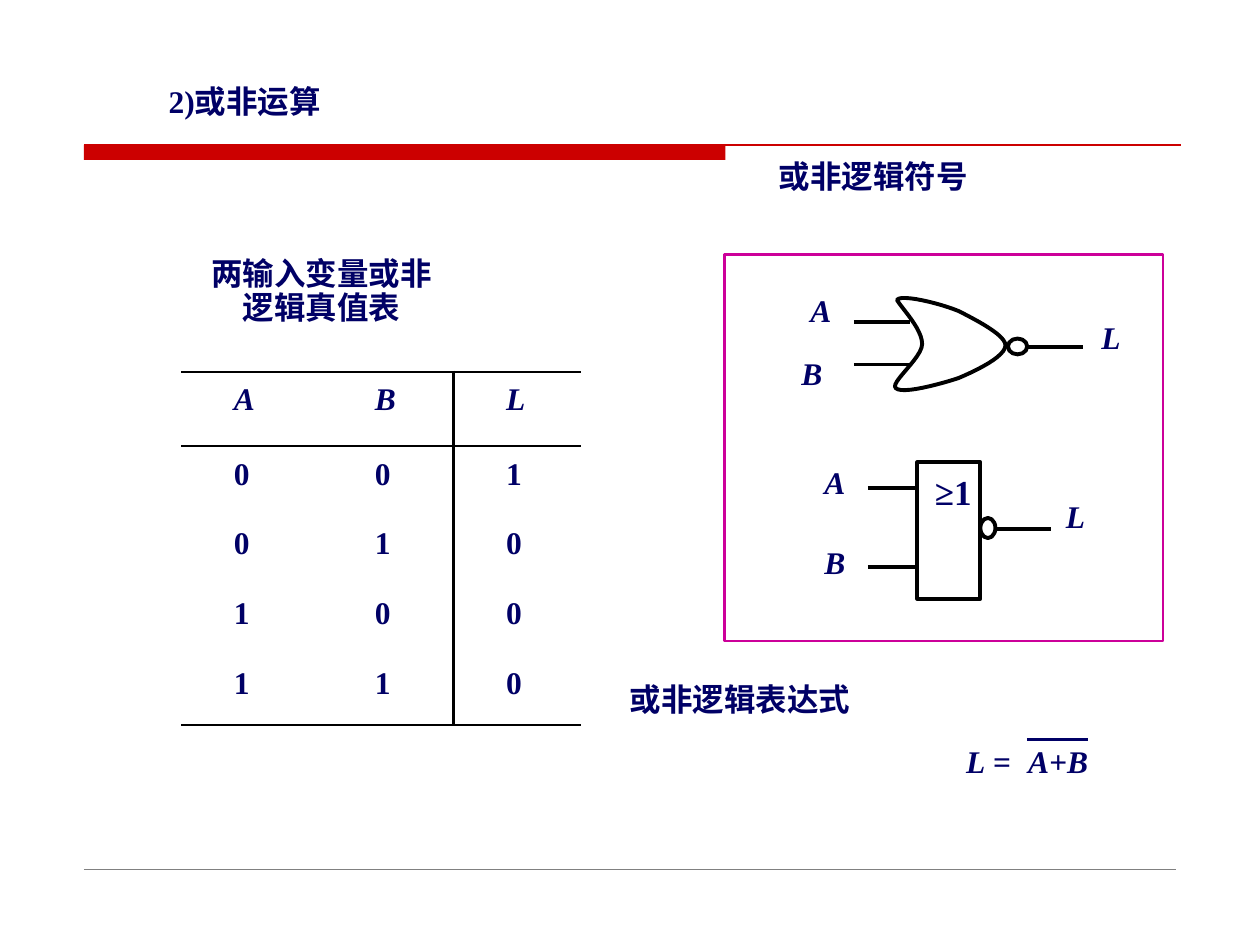
"""Build the slide on the NOR operation: truth table, gate symbols and expression."""
from dataclasses import dataclass

from lxml.etree import SubElement
from pptx import Presentation
from pptx.dml.color import RGBColor
from pptx.enum.shapes import MSO_CONNECTOR, MSO_SHAPE
from pptx.enum.text import MSO_ANCHOR, PP_ALIGN
from pptx.oxml import parse_xml
from pptx.oxml.ns import nsdecls, qn
from pptx.slide import Slide
from pptx.util import Pt

NAVY = RGBColor(0x00, 0x00, 0x66)
RED = RGBColor(0xCC, 0x00, 0x00)
MAGENTA = RGBColor(0xCC, 0x00, 0x99)
BLACK = RGBColor(0x00, 0x00, 0x00)
GRAY = RGBColor(0x80, 0x80, 0x80)

INSET = (7.2, 3.6)
TRUTH_TABLE = [("A", "B", "L"), *((a, b, int(not (a or b))) for a in (0, 1) for b in (0, 1))]
GATE_START = (512.6, 171.4)
GATE_CURVES = [
    ((514.8, 167.8), (537.8, 173.5), (547.9, 177.8)),
    ((558, 182.9), (574.6, 191.5), (574.6, 197.3)),
    ((574.6, 203.8), (558, 211.7), (547.9, 216)),
    ((537.1, 219.6), (515.5, 225.4), (511.9, 221.8)),
    ((508.3, 218.9), (527, 204.5), (527, 196.6)),
    ((527, 187.9), (515.5, 176.4), GATE_START),
]


def curve_points(start, curves, steps=12):
    for first, second, end in curves:
        for step in range(1, steps + 1):
            t = step / steps
            weights = ((1 - t) ** 3, 3 * t * (1 - t) ** 2, 3 * t * t * (1 - t), t ** 3)
            knots = (start, first, second, end)
            yield tuple(Pt(sum(w * k[axis] for w, k in zip(weights, knots))) for axis in (0, 1))
        start = end


@dataclass
class Painter:
    slide: Slide
    font: str = "Times New Roman"
    size: float = 18
    color: RGBColor = NAVY

    def style(self, paragraph, italic=None, size=None):
        font = paragraph.font
        font.name, font.size, font.bold = self.font, Pt(size or self.size), True
        font.italic = italic
        font.color.rgb = self.color

    def text(self, wording, x, y, width, height, italic=None, size=None,
             inset=(0, 0), spacing=0.9, wrap=True, align=PP_ALIGN.LEFT):
        frame = self.slide.shapes.add_textbox(Pt(x), Pt(y), Pt(width), Pt(height)).text_frame
        frame.margin_left = frame.margin_right = Pt(inset[0])
        frame.margin_top = frame.margin_bottom = Pt(inset[1])
        frame.word_wrap = wrap
        paragraph = frame.paragraphs[0]
        paragraph.text = wording
        paragraph.alignment, paragraph.line_spacing = align, spacing
        self.style(paragraph, italic, size)
        return paragraph

    def expression(self, parts, x, y, width, height, tab):
        paragraph = self.text("", x, y, width, height, inset=INSET, spacing=1.0)
        stops = parse_xml(f'<a:tabLst {nsdecls("a")}><a:tab pos="{Pt(tab)}" algn="l"/></a:tabLst>')
        paragraph._p.get_or_add_pPr().insert_element_before(stops, "a:defRPr", "a:extLst")
        for wording, italic in parts:
            run = paragraph.add_run()
            run.text, run.font.italic = wording, italic

    def line(self, x1, y1, x2, y2, color=BLACK, weight=2.25):
        wire = self.slide.shapes.add_connector(
            MSO_CONNECTOR.STRAIGHT, Pt(x1), Pt(y1), Pt(x2), Pt(y2))
        wire.line.color.rgb, wire.line.width = color, Pt(weight)
        SubElement(wire._element.spPr, qn("a:effectLst"))

    def outline(self, shape, color, weight):
        shape.shadow.inherit = False
        shape.fill.background()
        shape.line.color.rgb, shape.line.width = color, Pt(weight)

    def shape(self, preset, x, y, width, height, color=BLACK, weight=2.25):
        outlined = self.slide.shapes.add_shape(preset, Pt(x), Pt(y), Pt(width), Pt(height))
        self.outline(outlined, color, weight)

    def bar(self, x, y, width, height, color):
        block = self.slide.shapes.add_shape(
            MSO_SHAPE.RECTANGLE, Pt(x), Pt(y), Pt(width), Pt(height))
        block.shadow.inherit = False
        block.fill.solid()
        block.fill.fore_color.rgb = color
        block.line.fill.background()

    def curve(self, start, curves):
        builder = self.slide.shapes.build_freeform(Pt(start[0]), Pt(start[1]))
        builder.add_line_segments(list(curve_points(start, curves)), close=True)
        self.outline(builder.convert_to_shape(), BLACK, 2.25)

    def borders(self, cell, ruled):
        for position, side in enumerate("LRTB"):
            paint = (f'<a:solidFill><a:srgbClr val="{BLACK}"/></a:solidFill>'
                     if side in ruled else "<a:noFill/>")
            cell._tc.get_or_add_tcPr().insert(position, parse_xml(
                f'<a:ln{side} {nsdecls("a")} w="{Pt(1.5)}">{paint}</a:ln{side}>'))

    def table(self, rows, x, y, widths, heights):
        grid = self.slide.shapes.add_table(
            len(rows), len(widths), Pt(x), Pt(y), Pt(sum(widths)), Pt(sum(heights))).table
        grid.first_row = grid.horz_banding = False
        for column, width in zip(grid.columns, widths):
            column.width = Pt(width)
        for r, (values, height) in enumerate(zip(rows, heights)):
            grid.rows[r].height = Pt(height)
            for c, value in enumerate(values):
                cell = grid.cell(r, c)
                cell.fill.background()
                cell.margin_left, cell.margin_top = Pt(30), Pt(8)
                cell.margin_right = cell.margin_bottom = 0
                cell.vertical_anchor = MSO_ANCHOR.TOP
                paragraph = cell.text_frame.paragraphs[0]
                paragraph.text, paragraph.line_spacing = str(value), 0.9
                self.style(paragraph, italic=r == 0)
                horizontal = {0: "TB", 1: "T", len(rows) - 1: "B"}.get(r, "")
                vertical = {1: "R", 2: "L"}.get(c, "")
                self.borders(cell, horizontal + vertical)


def main():
    deck = Presentation()
    deck.slide_width, deck.slide_height = Pt(720), Pt(540)
    painter = Painter(deck.slides.add_slide(deck.slide_layouts[6]))

    painter.bar(48, 82.8, 366.5, 8.6, RED)
    painter.line(48, 82.8, 674.6, 82.8, RED, 0.75)
    painter.line(48, 496.8, 672, 496.8, GRAY, 0.25)
    painter.text("2)或非运算", 89.3, 43.2, 106, 28.8, inset=INSET, spacing=1.0, wrap=False)

    painter.text("两输入变量或非\v逻辑真值表", 103.7, 147.6, 160, 39, align=PP_ALIGN.CENTER)
    painter.table(TRUTH_TABLE, 103.7, 212.4, (80.6, 74.9, 72.7), (42.5, *[39.8] * 4))

    painter.text("或非逻辑符号", 445, 92.2, 183, 19.4)
    painter.shape(MSO_SHAPE.RECTANGLE, 414, 145.4, 250.6, 221, MAGENTA, 1.5)
    painter.curve(GATE_START, GATE_CURVES)
    painter.shape(MSO_SHAPE.OVAL, 576, 193.5, 11, 9)
    painter.shape(MSO_SHAPE.RECTANGLE, 524.2, 264.2, 36, 78)
    painter.shape(MSO_SHAPE.OVAL, 560.2, 296, 8.6, 11.5)
    for x1, x2, y in [(488, 520, 183.8), (488, 521, 208.3), (587, 619, 198.5),
                      (496, 525, 278.8), (496, 525, 323.8), (569, 600.5, 302.5)]:
        painter.line(x1, y, x2, y)
    for pin, x, y in [("A", 463, 168.5), ("B", 458, 204.5), ("L", 629.3, 184.3),
                      ("A", 471, 267.1), ("B", 471, 312.5), ("L", 609.1, 286.6)]:
        painter.text(pin, x, y, 12, 19.4, italic=True, wrap=False)
    painter.text("≥1", 534.2, 271.4, 21, 21.6, size=20, wrap=False)

    painter.text("或非逻辑表达式", 352.8, 385.2, 202.3, 28.8, inset=INSET, spacing=1.0)
    painter.expression([("L", True), (" =\t", False), ("A", True), ("+", False), ("B", True)],
                       545, 420.5, 159, 28.8, tab=35.5)
    painter.line(586.8, 422.6, 622, 422.6, NAVY)

    deck.save("out.pptx")


if __name__ == "__main__":
    main()
